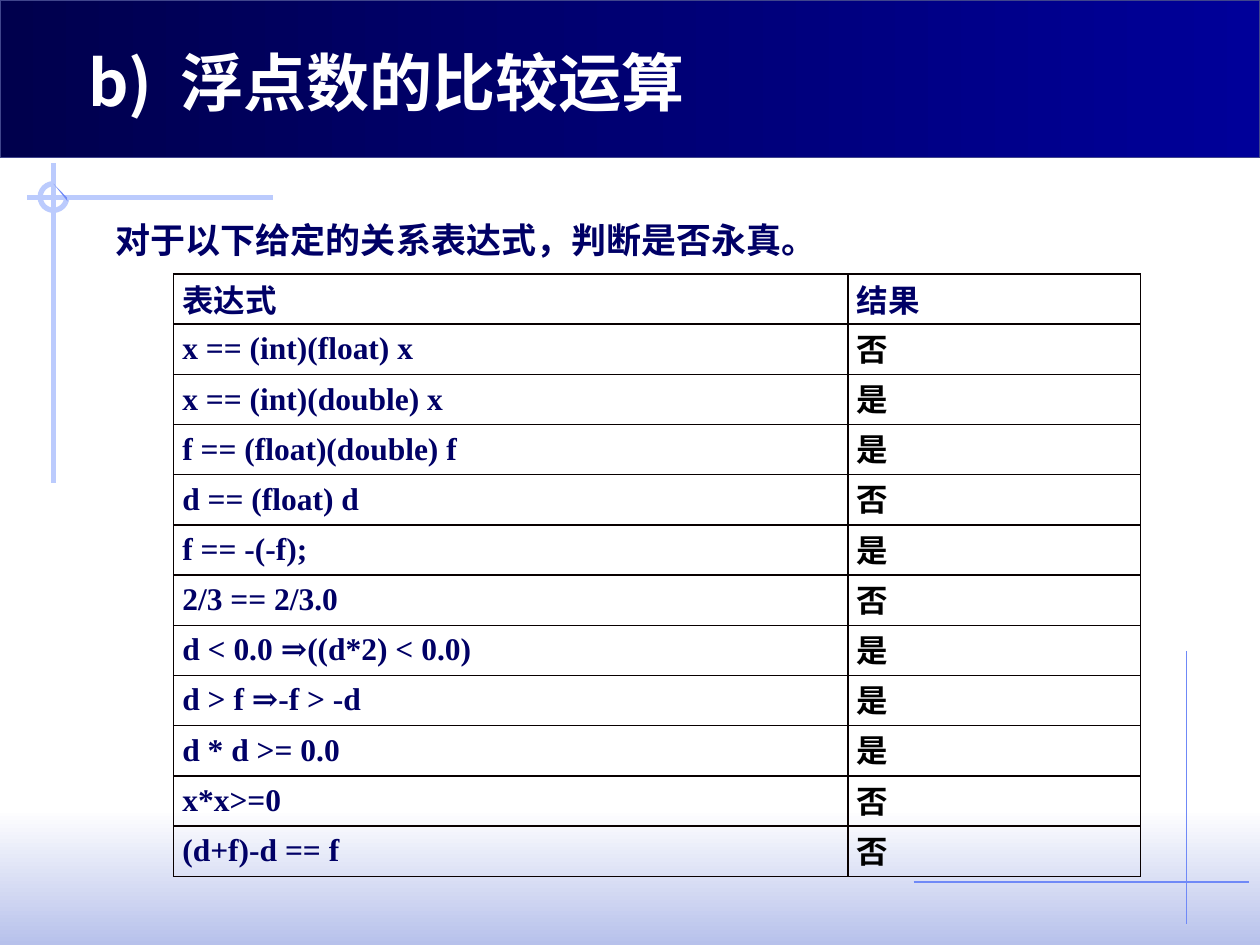
from dataclasses import dataclass

from lxml.etree import SubElement
from pptx import Presentation
from pptx.dml.color import RGBColor
from pptx.enum.shapes import MSO_CONNECTOR as Connector, MSO_SHAPE as Shape
from pptx.enum.text import MSO_ANCHOR as Anchor
from pptx.oxml.ns import qn
from pptx.util import Pt


@dataclass(frozen=True)
class Theme:
    white: str = "FFFFFF"
    navy: str = "000066"
    black: str = "000000"
    border: str = "080000"
    band_start: str = "00004D"
    band_end: str = "000099"
    band_line: str = "40458C"
    footer_end: str = "B7C1EB"
    pale: str = "BBCBFD"
    blue: str = "6F89F7"
    title_size: int = 36
    body_size: int = 20
    table_size: int = 18
    title_font: str = "Noto Sans CJK JP"
    chinese_font: str = "Noto Sans CJK SC"
    code_font: str = "Times New Roman"
    symbol_font: str = "Cambria"
    result_font: str = "Noto Sans Mono"


THEME = Theme()
ARROW = "⇒"
ROWS = [
    ("x == (int)(float) x", "否"),
    ("x == (int)(double) x", "是"),
    ("f == (float)(double) f", "是"),
    ("d == (float) d", "否"),
    ("f == -(-f);", "是"),
    ("2/3 == 2/3.0", "否"),
    ("d < 0.0 ⇒((d*2) < 0.0)", "是"),
    ("d > f ⇒-f > -d", "是"),
    ("d * d >= 0.0", "是"),
    ("x*x>=0", "否"),
    ("(d+f)-d == f", "否"),
]


def apply_format(target, values):
    for name, value in values.items():
        setattr(target, name, value)


def color(value):
    return RGBColor.from_string(value)


def set_line(line, line_color, width):
    line.color.rgb = color(line_color)
    line.width = Pt(width)


def add_gradient_band(slide, box, colors, angle):
    shape = slide.shapes.add_shape(Shape.RECTANGLE, *map(Pt, box))
    shape.shadow.inherit = False
    shape.fill.gradient()
    shape.fill.gradient_angle = angle
    for stop, stop_color, position in zip(shape.fill.gradient_stops, colors, (0, 1)):
        stop.color.rgb = color(stop_color)
        stop.position = position
    shape.line.fill.background()
    return shape


def add_line(slide, ends, line_color, width):
    line = slide.shapes.add_connector(Connector.STRAIGHT, *map(Pt, ends))
    set_line(line.line, line_color, width)
    SubElement(line._element.spPr, qn("a:effectLst"))


def add_ring(slide):
    ring = slide.shapes.add_shape(Shape.ARC, Pt(23), Pt(105), Pt(15.2), Pt(15.2))
    ring.shadow.inherit = False
    ring.adjustments[0] = 0
    ring.adjustments[1] = 162
    ring.fill.background()
    set_line(ring.line, THEME.pale, 3)
    builder = slide.shapes.build_freeform(Pt(30.6), Pt(105))
    builder.add_line_segments([(Pt(38.2), Pt(112.8)), (Pt(38.6), Pt(115))])
    sliver = builder.convert_to_shape()
    sliver.shadow.inherit = False
    sliver.fill.solid()
    sliver.fill.fore_color.rgb = color(THEME.blue)
    sliver.line.fill.background()


def add_run(paragraph, text, font, size, text_color, spacing=0):
    run = paragraph.add_run()
    run.text = text
    apply_format(run.font, {"name": font, "size": Pt(size), "bold": True})
    run.font.color.rgb = color(text_color)
    properties = run._r.get_or_add_rPr()
    SubElement(properties, qn("a:ea"), typeface=font)
    if spacing:
        properties.set("spc", str(spacing * 100))


def add_text_box(slide, box, anchor):
    frame = slide.shapes.add_textbox(*map(Pt, box)).text_frame
    apply_format(frame, {"word_wrap": True, "vertical_anchor": anchor})
    return frame.paragraphs[0]


def add_borders(cell):
    properties = cell._tc.get_or_add_tcPr()
    for side in ("lnL", "lnR", "lnT", "lnB"):
        line = SubElement(properties, qn(f"a:{side}"), w=str(Pt(1)))
        fill = SubElement(line, qn("a:solidFill"))
        SubElement(fill, qn("a:srgbClr"), val=THEME.border)


def fill_cell(cell, runs, text_color):
    apply_format(cell, {
        "vertical_anchor": Anchor.MIDDLE,
        "margin_left": Pt(5), "margin_right": Pt(5),
        "margin_top": 0, "margin_bottom": 0,
    })
    add_borders(cell)
    cell.fill.background()
    for text, font in runs:
        add_run(cell.text_frame.paragraphs[0], text, font, THEME.table_size, text_color)


def expression_runs(expression):
    before, arrow, after = expression.partition(ARROW)
    fonts = (THEME.code_font, THEME.symbol_font, THEME.code_font)
    return [(text, font) for text, font in zip((before, arrow, after), fonts) if text]


def add_result_table(slide):
    row_count = len(ROWS) + 1
    frame = slide.shapes.add_table(row_count, 2, Pt(99.2), Pt(156.5), Pt(552.5), Pt(28.7 * row_count))
    table = frame.table
    apply_format(table, {"first_row": False, "horz_banding": False})
    for column, width in zip(table.columns, (385.5, 167)):
        column.width = Pt(width)
    for row in table.rows:
        row.height = Pt(28.7)
    for index, heading in enumerate(("表达式", "结果")):
        fill_cell(table.cell(0, index), [(heading, THEME.chinese_font)], THEME.navy)
    for index, (expression, result) in enumerate(ROWS, 1):
        fill_cell(table.cell(index, 0), expression_runs(expression), THEME.navy)
        fill_cell(table.cell(index, 1), [(result, THEME.result_font)], THEME.black)


def add_decoration(slide):
    add_gradient_band(slide, (0, 462.2, 720, 77.8), (THEME.white, THEME.footer_end), 270)
    add_line(slide, (678.2, 372, 678.2, 528), THEME.blue, 0.75)
    add_line(slide, (156, 113, 15.6, 113), THEME.pale, 3)
    add_line(slide, (30.6, 93.4, 30.6, 276), THEME.pale, 3)
    add_ring(slide)
    band = add_gradient_band(slide, (0, 0, 720, 90), (THEME.band_start, THEME.band_end), 0)
    set_line(band.line, THEME.band_line, 0.75)
    add_line(slide, (522, 504, 714, 504), THEME.blue, 0.75)


def add_title(slide):
    paragraph = add_text_box(slide, (43.2, 21, 584.6, 51), Anchor.MIDDLE)
    for text, spacing in (("b)", 0), (" ", 8), ("浮点数的比较运算", 0)):
        add_run(paragraph, text, THEME.title_font, THEME.title_size, THEME.white, spacing)


def add_question(slide):
    paragraph = add_text_box(slide, (-31, 116.6, 728, 47.5), Anchor.TOP)
    paragraph.line_spacing = 1.2
    properties = paragraph._p.get_or_add_pPr()
    for name, value in {"marL": Pt(54), "indent": Pt(36)}.items():
        properties.set(name, str(value))
    add_run(paragraph, "对于以下给定的关系表达式，判断是否永真。",
            THEME.chinese_font, THEME.body_size, THEME.navy)


def main():
    presentation = Presentation()
    apply_format(presentation, {"slide_width": Pt(720), "slide_height": Pt(540)})
    slide = presentation.slides.add_slide(presentation.slide_layouts[6])
    add_decoration(slide)
    add_title(slide)
    add_question(slide)
    add_result_table(slide)
    presentation.save("out.pptx")


if __name__ == "__main__":
    main()
